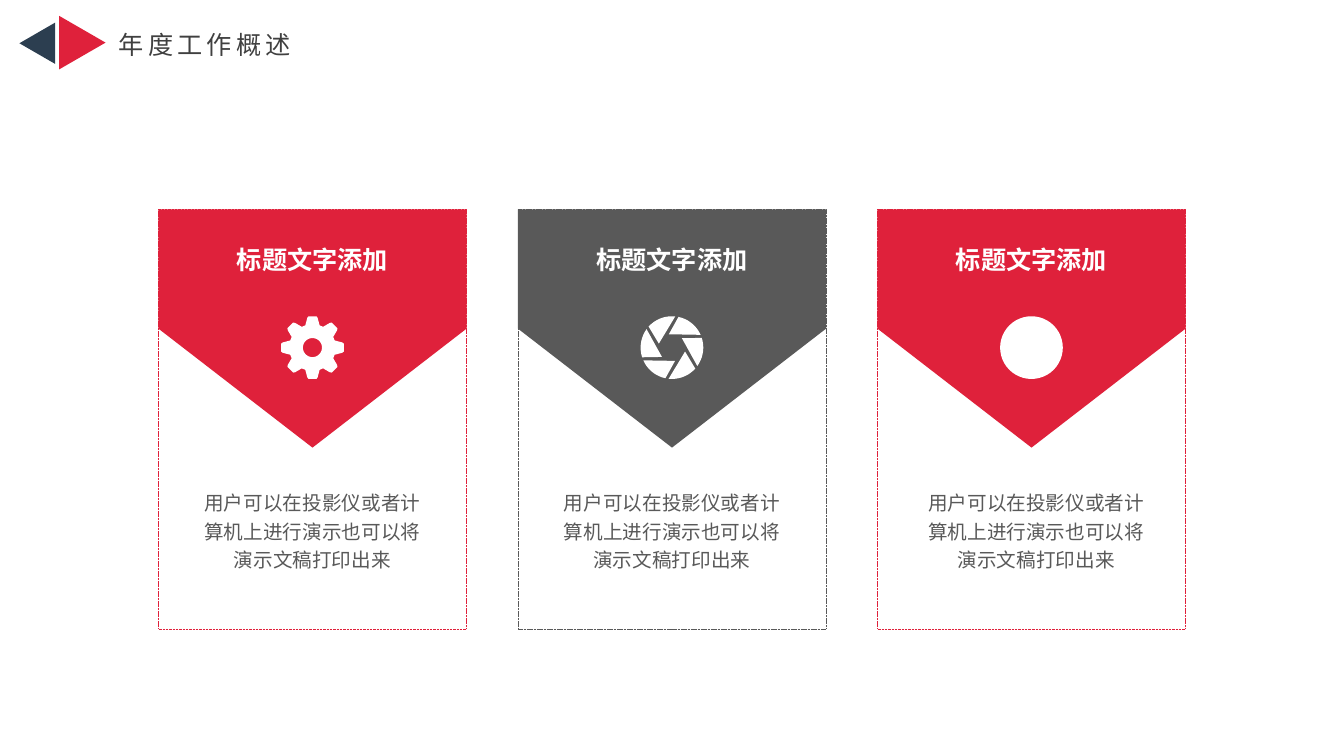
from math import cos, radians, sin

from lxml import etree
from pptx import Presentation
from pptx.dml.color import RGBColor
from pptx.enum.dml import MSO_LINE
from pptx.enum.shapes import MSO_SHAPE
from pptx.enum.text import MSO_ANCHOR, MSO_AUTO_SIZE, PP_ALIGN
from pptx.oxml.ns import qn
from pptx.util import Cm, Pt

RECT = MSO_SHAPE.RECTANGLE
PLATE = MSO_SHAPE.PENTAGON
TRIANGLE = MSO_SHAPE.ISOSCELES_TRIANGLE
OVAL = MSO_SHAPE.OVAL
DASH = MSO_LINE.SQUARE_DOT
TOP = MSO_ANCHOR.TOP
NO_FIT = MSO_AUTO_SIZE.NONE
LEFT, CENTER = PP_ALIGN.LEFT, PP_ALIGN.CENTER

RED, GRAY, NAVY, WHITE, DARK = "DF213B", "595959", "2C3E50", "FFFFFF", "404040"
CARD_X, CARD_Y, CARD_W, CARD_H, STEP = 3.99, 5.28, 7.77, 10.57, 9.06
PLATE_H = 6
TEXT_W = 6.22
ICON_Y, ICON_R = 8.76, 0.79
HEAD = "标题文字添加"
BODY = "用户可以在投影仪或者计算机上进行演示也可以将演示文稿打印出来"


def color(code):
    """Turn a hex string into a colour."""
    return RGBColor.from_string(code)


def paint(shape, fill=None, line=None):
    """Set the fill and the thin dashed outline of a shape."""
    shape.shadow.inherit = False
    if fill:
        shape.fill.solid()
        shape.fill.fore_color.rgb = color(fill)
    else:
        shape.fill.background()
    if line:
        shape.line.color.rgb = color(line)
        shape.line.width = Pt(0.25)
        shape.line.dash_style = DASH
    else:
        shape.line.fill.background()


def add_form(slide, kind, box, fill=None, line=None, turn=0):
    """Add a preset shape in a box given in centimetres."""
    shape = slide.shapes.add_shape(kind, *map(Cm, box))
    shape.rotation = turn
    paint(shape, fill, line)


def add_run(para, text, size, font, code, bold=False):
    """Add one run of formatted text and return it."""
    run = para.add_run()
    run.text = text
    run.font.size = Pt(size)
    run.font.name = font
    run.font.bold = bold
    run.font.color.rgb = color(code)
    east = etree.SubElement(run.font._element, qn("a:ea"))
    east.set("typeface", font)
    return run


def add_text(slide, box, text, size, code, bold=False):
    """Add a wrapped and centred text box."""
    frame = slide.shapes.add_textbox(*map(Cm, box)).text_frame
    frame.word_wrap = True
    para = frame.paragraphs[0]
    para.alignment = CENTER
    para.line_spacing = 1.2
    add_run(para, text, size, "Arial", code, bold)


def set_title(slide, text):
    """Place and format the slide title."""
    title = slide.shapes.title
    title.left, title.top, title.width, title.height = map(
        Cm, (2.74, 0.61, 5, 1.02))
    frame = title.text_frame
    frame.auto_size = NO_FIT
    frame.word_wrap = False
    frame.vertical_anchor = TOP
    para = frame.paragraphs[0]
    para.alignment = LEFT
    run = add_run(para, text, 18, "Noto Sans CJK SC", DARK)
    run.font._element.set("spc", "300")


def arc(radius, start, end, step=6):
    """List the points of an arc around the origin."""
    return [(radius * cos(radians(a)), radius * sin(radians(a)))
            for a in range(start, end + 1, step)]


def spin(points, angle):
    """Turn points around the origin."""
    c, s = cos(radians(angle)), sin(radians(angle))
    return [(x * c - y * s, x * s + y * c) for x, y in points]


def add_free(slide, x, y, loops):
    """Draw closed white loops around a centre as one shape."""
    loops = [[(Cm(x + u), Cm(y + v)) for u, v in loop] for loop in loops]
    pen = slide.shapes.build_freeform(*loops[0][0])
    for i, loop in enumerate(loops):
        if i:
            pen.move_to(*loop[0])
        pen.add_line_segments(loop[1:], close=True)
    paint(pen.convert_to_shape(), WHITE)


def add_gear(slide, x, y):
    """Draw a gear with eight teeth and a round hole."""
    tooth = [(-0.18, -0.56), (-0.13, -0.75), (-0.1, -ICON_R),
             (0.1, -ICON_R), (0.13, -0.75), (0.18, -0.56)]
    rim = [p for k in range(8) for p in spin(tooth, 45 * k)]
    add_free(slide, x, y, [rim, arc(0.24, 0, 354)])


def add_lens(slide, x, y):
    """Draw a camera shutter with six blades."""
    blade = arc(ICON_R, -138, -84) + [(-0.33, -0.1)]
    add_free(slide, x, y, [spin(blade, 60 * k) for k in range(6)])


def add_disc(slide, x, y):
    """Draw a plain disc."""
    add_form(slide, OVAL, (x - ICON_R, y - ICON_R, 2 * ICON_R, 2 * ICON_R),
             WHITE)


def add_card(slide, x, code, icon, shift):
    """Draw one card: pointed banner, icon, dashed frame and texts."""
    mid = x + CARD_W / 2
    plate = (mid - PLATE_H / 2, CARD_Y + (PLATE_H - CARD_W) / 2,
             PLATE_H, CARD_W)
    add_form(slide, PLATE, plate, code, turn=90)
    icon(slide, mid, ICON_Y)
    add_form(slide, RECT, (x, CARD_Y, CARD_W, CARD_H), line=code)
    left = mid - TEXT_W / 2
    add_text(slide, (left, 5.89, TEXT_W, 1.12), HEAD, 18, WHITE, True)
    add_text(slide, (left + shift, 12.14, TEXT_W, 2.34), BODY, 14, GRAY)


def main():
    """Build the slide and save it."""
    deck = Presentation()
    deck.slide_width, deck.slide_height = Cm(33.87), Cm(19.05)
    slide = deck.slides.add_slide(deck.slide_layouts[5])
    set_title(slide, "年度工作概述")
    add_form(slide, TRIANGLE, (0.42, 0.64, 1.04, 0.9), NAVY, turn=270)
    add_form(slide, TRIANGLE, (1.4, 0.49, 1.35, 1.17), RED, turn=90)
    cards = [(RED, add_gear, 0), (GRAY, add_lens, 0), (RED, add_disc, 0.12)]
    for i, (code, icon, shift) in enumerate(cards):
        add_card(slide, CARD_X + i * STEP, code, icon, shift)
    deck.save("out.pptx")


if __name__ == "__main__":
    main()
